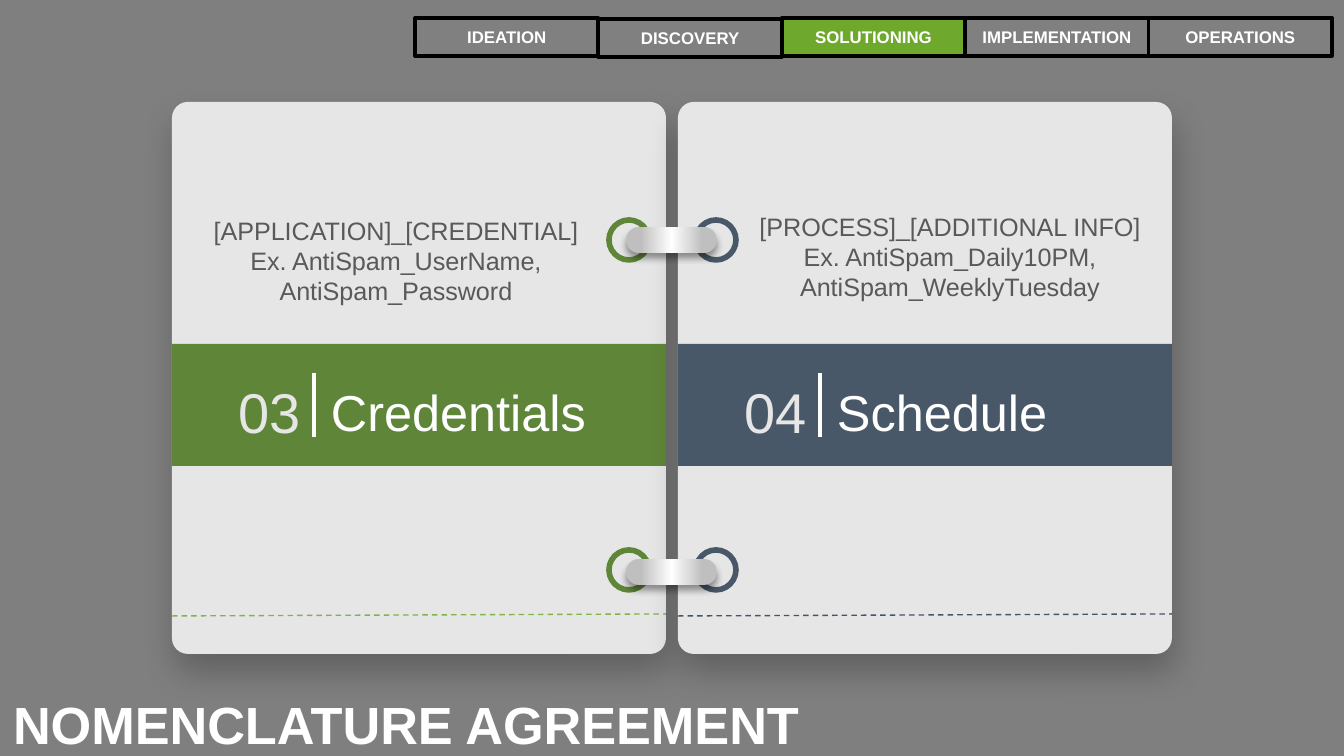
from lxml import etree
from pptx import Presentation
from pptx import util as u
from pptx.dml.color import RGBColor
from pptx.enum import dml, shapes, text
from pptx.oxml import ns

PX = 914400 / 134.4
FONT = "Arial"
BACKGROUND = RGBColor(0x7F, 0x7F, 0x7F)
TAB = RGBColor(0x80, 0x80, 0x80)
ACTIVE_TAB = RGBColor(0x6E, 0xA9, 0x2D)
PAPER = RGBColor(0xE7, 0xE6, 0xE6)
GREEN = RGBColor(0x5F, 0x86, 0x38)
LIGHT_GREEN = RGBColor(0x7F, 0xB3, 0x4C)
SLATE = RGBColor(0x48, 0x58, 0x68)
DARK_SLATE = RGBColor(0x44, 0x54, 0x6A)
BODY = RGBColor(0x59, 0x59, 0x59)
SILVER = RGBColor(0xBF, 0xBF, 0xBF)
WHITE = RGBColor(0xFF, 0xFF, 0xFF)
BLACK = RGBColor(0, 0, 0)

STAGES = ["IDEATION", "DISCOVERY", "SOLUTIONING", "IMPLEMENTATION", "OPERATIONS"]
CLIP_STOPS = [(0, SILVER), (16, SILVER), (50, WHITE), (84, SILVER), (100, SILVER)]


def px(*values):
    return [u.Emu(round(v * PX)) for v in values]


def sub(parent, tag, **attrs):
    return etree.SubElement(parent, ns.qn(tag), {k: str(v) for k, v in attrs.items()})


def write(s, content, size, color, bold=False, align=text.PP_ALIGN.LEFT,
          anchor=text.MSO_ANCHOR.TOP, inset=9, top=5):
    tf = s.text_frame
    tf.word_wrap = True
    tf.auto_size = text.MSO_AUTO_SIZE.NONE
    tf.vertical_anchor = anchor
    tf.margin_left, tf.margin_right, tf.margin_top, tf.margin_bottom = px(inset, inset, top, 5)
    p = tf.paragraphs[0]
    p.text = content
    p.alignment = align
    for r in p.runs:
        r.font.name = FONT
        r.font.size = u.Pt(size)
        r.font.bold = bold
        r.font.color.rgb = color


def add_text(slide, box, content, size, color, **fmt):
    write(slide.shapes.add_textbox(*px(*box)), content, size, color, **fmt)


def add_shape(slide, kind, box, fill=None, line=None, width=0, adj=None):
    s = slide.shapes.add_shape(kind, *px(*box))
    s.shadow.inherit = False
    if fill is not None:
        s.fill.solid()
        s.fill.fore_color.rgb = fill
    if line is None:
        s.line.fill.background()
    else:
        s.line.color.rgb = line
        s.line.width = u.Pt(width)
    if adj is not None:
        s.adjustments[0] = adj
    return s


def add_line(slide, ends, color, width, dash=None):
    s = slide.shapes.add_connector(shapes.MSO_CONNECTOR.STRAIGHT, *px(*ends))
    s.line.color.rgb = color
    s.line.width = u.Pt(width)
    if dash is not None:
        s.line.dash_style = dash
    sub(s._element.spPr, "a:effectLst")


def add_shadow(s, alpha, blur, dist, angle):
    effects = s._element.spPr.find(ns.qn("a:effectLst"))
    shadow = sub(effects, "a:outerShdw", blurRad=u.Pt(blur), dist=u.Pt(dist),
                 dir=angle * 60000, algn="tl", rotWithShape=0)
    color = sub(shadow, "a:srgbClr", val=BLACK)
    sub(color, "a:alpha", val=alpha * 1000)


def add_stages(slide, box, active):
    x, y, w, h = box
    step = w / len(STAGES)
    for i, stage in enumerate(STAGES):
        drop = 1 if stage == "DISCOVERY" else 0
        s = add_shape(slide, shapes.MSO_SHAPE.RECTANGLE, (x + i * step, y + drop, step, h),
                      ACTIVE_TAB if stage == active else TAB, BLACK, 2)
        write(s, stage, 9, WHITE, bold=True, align=text.PP_ALIGN.CENTER,
              anchor=text.MSO_ANCHOR.MIDDLE)


def add_card(slide, box, number, name, body, color, dash_color, ring_x, body_at):
    x, y, w, h = box
    card = add_shape(slide, shapes.MSO_SHAPE.ROUNDED_RECTANGLE, box, PAPER, adj=0.032)
    add_shadow(card, 24, 19, 10, 80)
    add_shape(slide, shapes.MSO_SHAPE.RECTANGLE, (x, y + 242, w, 122), color)
    add_line(slide, (x, y + 514, x + w, y + 512), dash_color, 0.75, dml.MSO_LINE.DASH)
    add_text(slide, (x + 55, y + 266, 86, 78), number, 30, PAPER,
             align=text.PP_ALIGN.CENTER, top=10)
    add_line(slide, (x + 142, y + 271, x + 142, y + 335), WHITE, 2.25)
    add_text(slide, (x + 150, y + 269, 304, 71), name, 27, WHITE, top=10)
    for ring_y in (118, 448):
        add_shape(slide, shapes.MSO_SHAPE.OVAL, (x + ring_x, y + ring_y, 40, 40),
                  PAPER, color, 3)
    body_x, body_y = body_at
    add_text(slide, (x + body_x, y + body_y, 402, 102), body, 13.5, BODY,
             align=text.PP_ALIGN.CENTER)


def add_clip(slide, box):
    s = add_shape(slide, shapes.MSO_SHAPE.ROUNDED_RECTANGLE, box, adj=0.5)
    s.fill.gradient()
    s.fill.gradient_angle = 0
    stops = s._element.spPr.find(ns.qn("a:gradFill")).find(ns.qn("a:gsLst"))
    for stop in list(stops):
        stops.remove(stop)
    for pos, color in CLIP_STOPS:
        sub(sub(stops, "a:gs", pos=pos * 1000), "a:srgbClr", val=color)
    add_shadow(s, 40, 4, 3, 90)


def add_title(slide, box, content):
    s = slide.shapes.title
    s.left, s.top, s.width, s.height = px(*box)
    write(s, content, 28, WHITE, bold=True, inset=13, top=20)


def main():
    prs = Presentation()
    prs.slide_width, prs.slide_height = px(1344, 756)
    slide = prs.slides.add_slide(prs.slide_layouts[5])
    slide.background.fill.solid()
    slide.background.fill.fore_color.rgb = BACKGROUND
    add_card(slide, (172, 102, 494, 552), "03", "Credentials",
             "[APPLICATION]_[CREDENTIAL]\vEx. AntiSpam_UserName, AntiSpam_Password",
             GREEN, LIGHT_GREEN, 437, (23, 108))
    add_card(slide, (678, 102, 494, 552), "04", "Schedule",
             "[PROCESS]_[ADDITIONAL INFO]\vEx. AntiSpam_Daily10PM, AntiSpam_WeeklyTuesday",
             SLATE, DARK_SLATE, 18, (71, 104))
    for y in (227, 559):
        add_clip(slide, (626, y, 91, 26))
    add_stages(slide, (415, 18, 917, 38), "SOLUTIONING")
    add_title(slide, (0, 672, 918, 84), "NOMENCLATURE AGREEMENT")
    prs.save("out.pptx")


if __name__ == "__main__":
    main()
